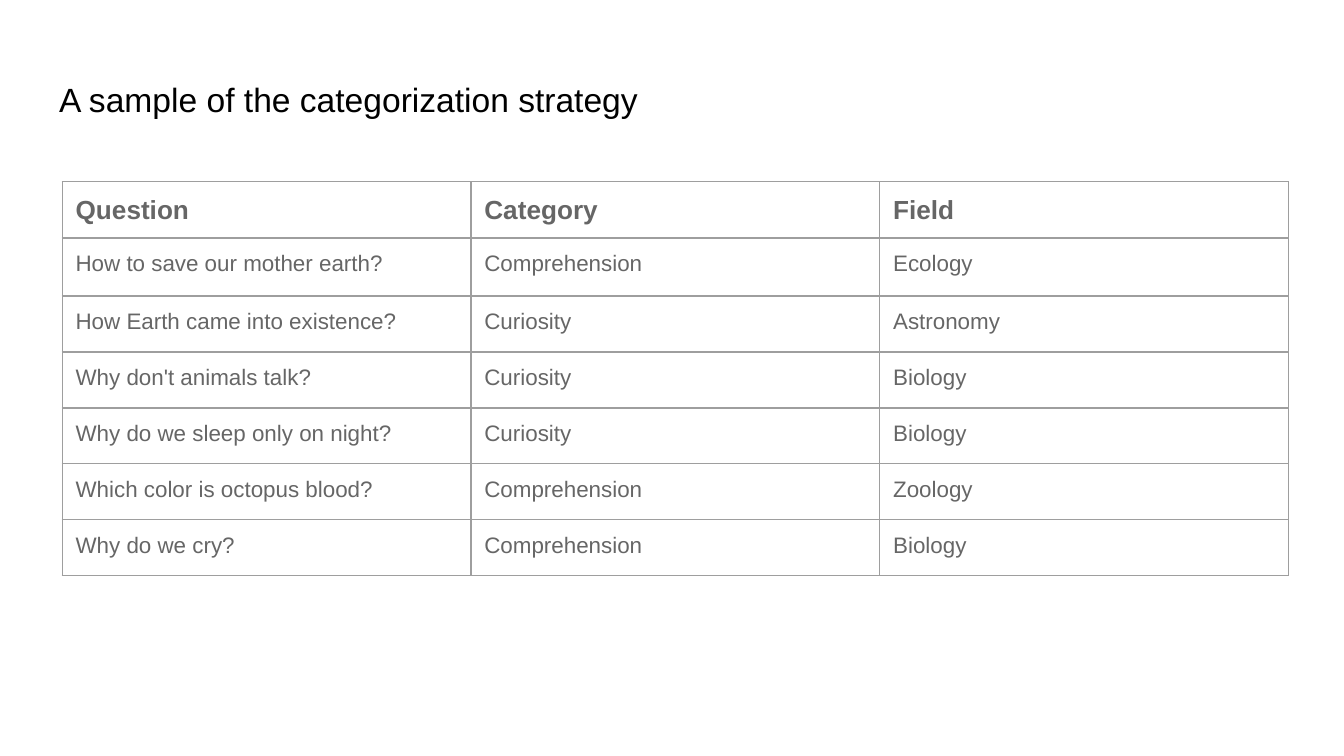
"""Build a slide with a table of questions sorted by category and field."""
from typing import NamedTuple

from lxml import etree
from pptx import Presentation
from pptx.dml.color import RGBColor
from pptx.enum.text import MSO_ANCHOR, MSO_AUTO_SIZE, PP_ALIGN
from pptx.oxml.ns import qn
from pptx.util import Pt

TOP = MSO_ANCHOR.TOP
LEFT = PP_ALIGN.LEFT
NO_AUTOFIT = MSO_AUTO_SIZE.NONE

BLACK = RGBColor(0x00, 0x00, 0x00)
TEXT_GREY = RGBColor(0x66, 0x66, 0x66)
BORDER_GREY = RGBColor(0x9E, 0x9E, 0x9E)

FONT = "Arial"
INSET = Pt(7.2)
BORDER_WIDTH = Pt(0.75)
COLUMN_WIDTH = Pt(219)
ROW_HEIGHT = Pt(30)
FIRST_QUESTION_HEIGHT = Pt(31)


class Entry(NamedTuple):
    """One table row."""

    question: str
    category: str
    field: str


ENTRIES = [
    Entry("Question", "Category", "Field"),
    Entry("How to save our mother earth?", "Comprehension", "Ecology"),
    Entry("How Earth came into existence?", "Curiosity", "Astronomy"),
    Entry("Why don't animals talk?", "Curiosity", "Biology"),
    Entry("Why do we sleep only on night?", "Curiosity", "Biology"),
    Entry("Which color is octopus blood?", "Comprehension", "Zoology"),
    Entry("Why do we cry?", "Comprehension", "Biology"),
]


def format_paragraph(paragraph, size: float, color: RGBColor, bold: bool = False) -> None:
    """Align a paragraph left and set its font."""
    paragraph.alignment = LEFT
    font = paragraph.font
    font.name, font.size, font.bold = FONT, Pt(size), bold
    font.color.rgb = color


def set_insets(frame) -> None:
    """Give a text frame or cell equal margins on all sides."""
    frame.margin_left = frame.margin_right = INSET
    frame.margin_top = frame.margin_bottom = INSET


def add_borders(cell) -> None:
    """Draw a thin line on each side of a cell."""
    properties = cell._tc.get_or_add_tcPr()
    for position, side in enumerate(("a:lnL", "a:lnR", "a:lnT", "a:lnB")):
        line = etree.Element(qn(side), w=str(BORDER_WIDTH))
        fill = etree.SubElement(line, qn("a:solidFill"))
        etree.SubElement(fill, qn("a:srgbClr"), val=str(BORDER_GREY))
        properties.insert(position, line)


def fill_cell(cell, text: str, is_header: bool) -> None:
    """Write and format one cell."""
    cell.text = text
    cell.vertical_anchor = TOP
    set_insets(cell)
    format_paragraph(cell.text_frame.paragraphs[0], 14 if is_header else 12, TEXT_GREY, is_header)
    cell.fill.background()
    add_borders(cell)


def add_title(slide, text: str) -> None:
    """Place and format the slide title."""
    title = slide.shapes.title
    title.left, title.top, title.width, title.height = Pt(24.5), Pt(35.3), Pt(420.5), Pt(32.4)
    frame = title.text_frame
    frame.text = text
    frame.word_wrap = True
    frame.auto_size = NO_AUTOFIT
    frame.vertical_anchor = TOP
    set_insets(frame)
    format_paragraph(frame.paragraphs[0], 18, BLACK)


def add_question_table(slide, entries: list[Entry]) -> None:
    """Add the table, with its first entry as the header."""
    columns = len(Entry._fields)
    table = slide.shapes.add_table(
        len(entries), columns, Pt(33.3), Pt(97.4),
        COLUMN_WIDTH * columns, ROW_HEIGHT * len(entries),
    ).table
    table.horz_banding = False
    for column in table.columns:
        column.width = COLUMN_WIDTH
    for row_index, entry in enumerate(entries):
        row = table.rows[row_index]
        row.height = FIRST_QUESTION_HEIGHT if row_index == 1 else ROW_HEIGHT
        for cell, text in zip(row.cells, entry):
            fill_cell(cell, text, row_index == 0)


def main() -> None:
    """Build and save the presentation."""
    presentation = Presentation()
    presentation.slide_width, presentation.slide_height = Pt(720), Pt(405)
    slide = presentation.slides.add_slide(presentation.slide_layouts.get_by_name("Title Only"))
    add_title(slide, "A sample of the categorization strategy")
    add_question_table(slide, ENTRIES)
    presentation.save("out.pptx")


main()
